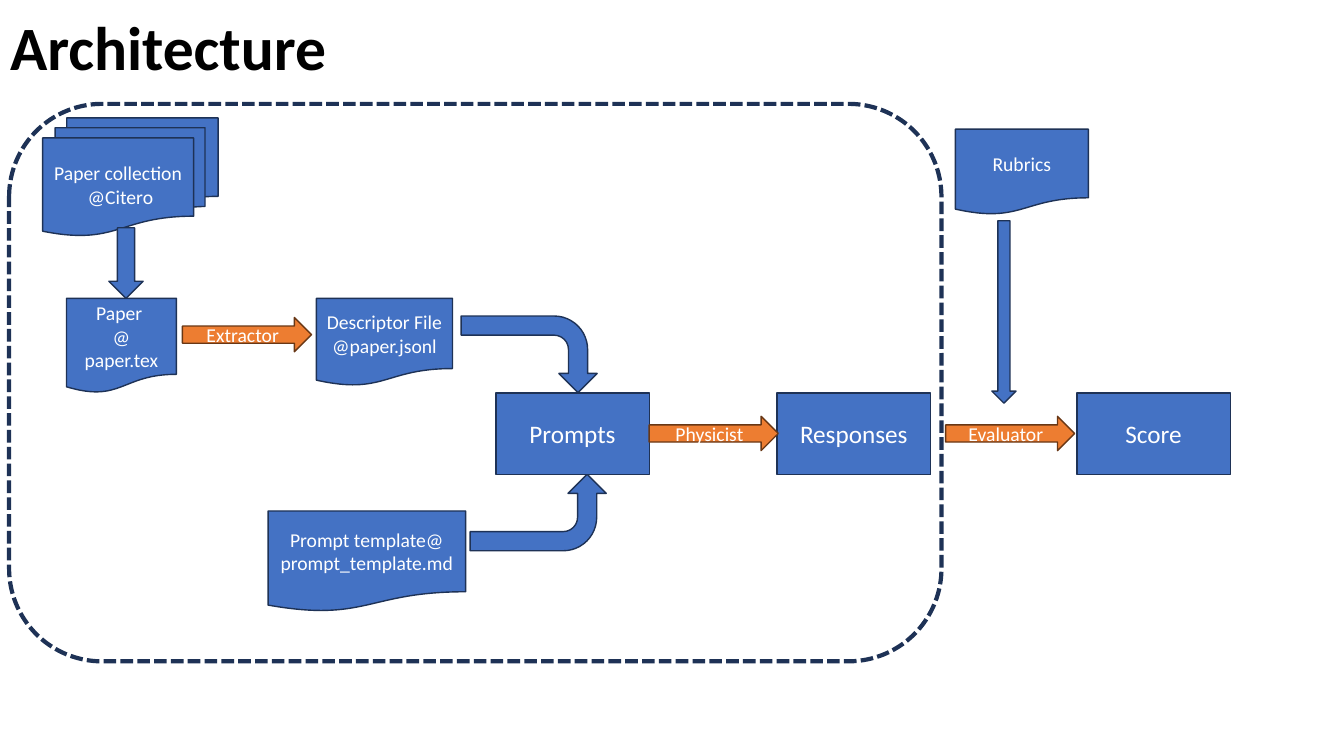
import pptx
import pptx.util
import pptx.dml.color
import pptx.enum.dml
import pptx.enum.shapes
import pptx.enum.text

Pt = pptx.util.Pt
Shape = pptx.enum.shapes.MSO_SHAPE
Anchor = pptx.enum.text.MSO_ANCHOR
Align = pptx.enum.text.PP_ALIGN

FONT = "Calibri"
BLUE, NAVY = "4472C4", "1E3256"
ORANGE, BROWN = "ED7D31", "683715"
WHITE, BLACK = "FFFFFF", "000000"

STEP_SIZE = (109.6, 58.2)
TOOL_SIZE = (92.2, 24.5)
BEND_SIZE = (54.7, 97.2)
STEP_TOP, TOOL_TOP = 280.8, 297.4


def color(value):
    return pptx.dml.color.RGBColor.from_string(value)


def write(shape, text, size, ink, bold=False, align=Align.CENTER):
    frame = shape.text_frame
    frame.text = text
    frame.word_wrap = True
    frame.vertical_anchor = Anchor.MIDDLE
    for para in frame.paragraphs:
        para.alignment = align
        for span in para.runs:
            span.font.name = FONT
            span.font.size = Pt(size)
            span.font.bold = bold
            span.font.color.rgb = color(ink)


def add_figure(page, kind, place, fill=BLUE, line=NAVY, width=1):
    shape = page.shapes.add_shape(kind, *[Pt(length) for length in place])
    shape.shadow.inherit = False
    if fill:
        shape.fill.solid()
        shape.fill.fore_color.rgb = color(fill)
    else:
        shape.fill.background()
    shape.line.color.rgb = color(line)
    shape.line.width = Pt(width)
    return shape


def add_document(page, text, place, kind=Shape.FLOWCHART_DOCUMENT):
    write(add_figure(page, kind, place), text, 14, WHITE)


def add_step(page, text, left):
    box = add_figure(page, Shape.FLOWCHART_PROCESS, (left, STEP_TOP, *STEP_SIZE))
    write(box, text, 18, WHITE)


def add_tool(page, text, left, top=TOOL_TOP):
    arrow = add_figure(page, Shape.RIGHT_ARROW, (left, top, *TOOL_SIZE), ORANGE, BROWN)
    write(arrow, text, 14, WHITE)


def add_bend(page, left, top, rotation, flipped=False):
    arrow = add_figure(page, Shape.BENT_ARROW, (left, top, *BEND_SIZE))
    arrow.rotation = rotation
    if flipped:
        arrow._element.spPr.xfrm.set("flipV", "1")


def add_title(page, text):
    title = page.shapes.title
    title.left, title.top = Pt(0), Pt(-15.8)
    title.width, title.height = Pt(828), Pt(104.4)
    write(title, text, 44, BLACK, bold=True, align=Align.LEFT)
    title.text_frame.paragraphs[0].line_spacing = 0.9


def main():
    deck = pptx.Presentation()
    deck.slide_width, deck.slide_height = Pt(960), Pt(540)
    page = deck.slides.add_slide(deck.slide_layouts[5])
    add_title(page, "Architecture")

    # Source documents
    add_document(page, "Paper collection\n @Citero", (30.5, 84.2, 125.3, 84.2),
                 Shape.FLOWCHART_MULTIDOCUMENT)
    add_document(page, "Paper \n@ paper.tex", (47.5, 213.1, 78.5, 67.7))
    add_document(page, "Descriptor File\n@paper.jsonl", (226, 213.1, 97.2, 62.6))
    add_document(page, "Prompt template@ prompt_template.md", (191.5, 365, 141.1, 72))
    add_document(page, "Rubrics", (682.4, 92.2, 95, 61.2))

    # Plain arrows between the parts
    paper_arrow = add_figure(page, Shape.RIGHT_ARROW, (64.8, 175.7, 50.4, 24.5))
    paper_arrow.rotation = 90
    add_figure(page, Shape.DOWN_ARROW, (708.5, 157.7, 17.3, 130.3))
    add_bend(page, 350.6, 204.5, 90)
    add_bend(page, 357.1, 317.5, 270, flipped=True)

    # Processing steps
    for text, left in (("Prompts", 354.2), ("Responses", 555.1), ("Score", 769.2)):
        add_step(page, text, left)

    # Tools that lead from one step to the next
    add_tool(page, "Extractor", 130.3, 226.8)
    add_tool(page, "Physicist", 463.7)
    add_tool(page, "Evaluator", 675.4)

    # Dashed boundary of the response pipeline
    boundary = add_figure(page, Shape.ROUNDED_RECTANGLE, (6.5, 74.2, 666, 398.2),
                          fill=None, width=3)
    # SQUARE_DOT is the sysDash preset
    boundary.line.dash_style = pptx.enum.dml.MSO_LINE.SQUARE_DOT

    deck.save("out.pptx")


main()
